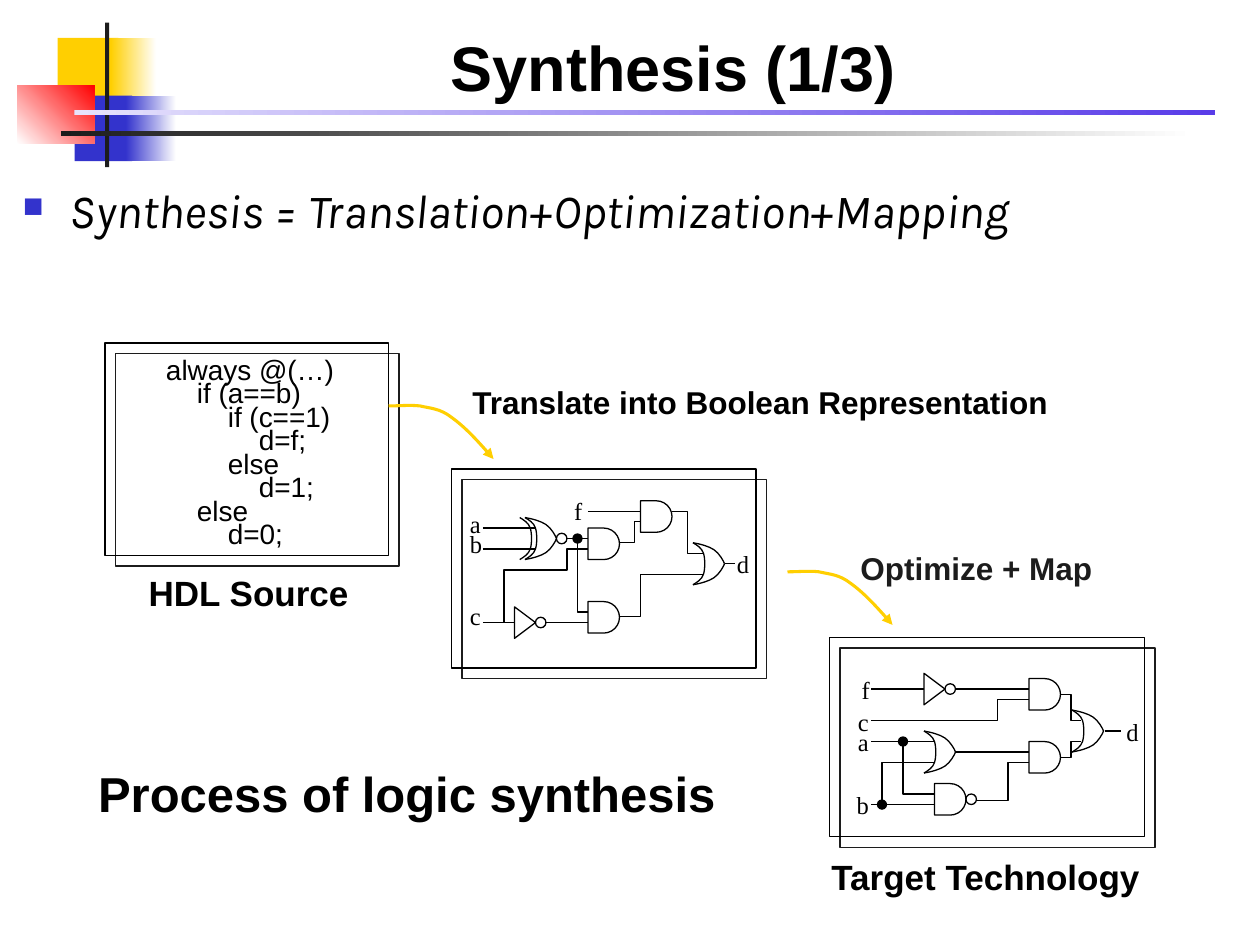
"""Build the slide on the three steps of logic synthesis."""
import collections

import lxml.etree
import pptx
import pptx.dml.color
import pptx.enum.shapes
import pptx.enum.text
import pptx.oxml.ns
import pptx.util

Pt = pptx.util.Pt
RGB = pptx.dml.color.RGBColor.from_string
SHAPE = pptx.enum.shapes.MSO_SHAPE
STRAIGHT = pptx.enum.shapes.MSO_CONNECTOR.STRAIGHT
qn = pptx.oxml.ns.qn
add_xml = lxml.etree.SubElement

Theme = collections.namedtuple(
    "Theme", "ink dark white yellow blue red pale violet sans serif body "
             "title lead heading caption step code pin")
theme = Theme("000000", "1C1C1C", "FFFFFF", "FFCF01", "3333CC", "FF0000", "E7E3FC", "593CE8",
              "Arial", "Times New Roman", "Karla", 36, 27.2, 28, 20, 18, 16, 14)
CELL = 6

prs = pptx.Presentation()
prs.slide_width, prs.slide_height = Pt(720), Pt(540)
s = prs.slides.add_slide(prs.slide_layouts[6])


def stroke(sp, color=theme.ink, width=0.75):
    """Outline a shape without fill and return its empty effect list."""
    if hasattr(sp, "fill"):
        sp.fill.background()
    sp.line.color.rgb = RGB(color)
    sp.line.width = Pt(width)
    return add_xml(sp._element.spPr, qn("a:effectLst"))


def outline(points, curved=False):
    """Draw an open path; a curved one takes its points as cubic controls."""
    pts = [(Pt(x), Pt(y)) for x, y in points]
    builder = s.shapes.build_freeform(*pts[0])
    builder.add_line_segments(pts[1:], close=False)
    sp = builder.convert_to_shape()
    if curved:
        path = next(sp._element.iter(qn("a:path")))
        segments = path.findall(qn("a:lnTo"))
        for i in range(0, len(segments), 3):
            cubic = add_xml(path, qn("a:cubicBezTo"))
            for segment in segments[i:i + 3]:
                cubic.append(segment[0])
                path.remove(segment)
    return sp


decoration = [
    (33, 21.6, 34.6, 37.4, [theme.yellow], 0),
    (63.4, 21.6, 25.9, 37.4, [theme.yellow, theme.white], 0),
    (42.6, 54.7, 33, 37.4, [theme.blue], 0),
    (72, 54.7, 28.8, 37.4, [theme.blue, theme.white], 0),
    (10, 48.8, 44, 33.4, [theme.white, theme.red], 45),
    (60, 13, 2.4, 82.6, [theme.dark], 0),
    (34.8, 75, 648, 2.5, [theme.dark, theme.white], 0),
    (42.5, 63, 651.6, 2.8, [theme.pale, theme.violet], 0),
]
for x, y, w, h, colors, angle in decoration:
    sp = s.shapes.add_shape(SHAPE.RECTANGLE, Pt(x), Pt(y), Pt(w), Pt(h))
    sp.shadow.inherit = False
    sp.line.fill.background()
    if len(colors) == 1:
        sp.fill.solid()
        sp.fill.fore_color.rgb = RGB(colors[0])
    else:
        sp.fill.gradient()
        sp.fill.gradient_angle = angle
        for stop, color in zip(sp.fill.gradient_stops, colors):
            stop.color.rgb = RGB(color)

for x, y, w, h in [(60, 196, 162, 121.5), (258, 268, 174, 113.8), (474, 364.3, 180, 113.8)]:
    effects = stroke(s.shapes.add_shape(SHAPE.RECTANGLE, Pt(x), Pt(y), Pt(w), Pt(h)))
    shadow = add_xml(effects, qn("a:outerShdw"), blurRad="0", dist=str(Pt(8.5)),
                     dir="2700000", algn="ctr", rotWithShape="0")
    add_xml(shadow, qn("a:srgbClr"), val=theme.dark)

or_top = [(0, 0), (4.5, 0.8), (9, 2), (12, 4), (15, 6), (17.5, 10.5), (18, 12)]
or_bottom = [(x, 24 - y) for x, y in or_top]
or_back = [(0, 0), (2.4, 1.5), (5, 3), (6, 6), (7, 9), (7, 15), (6, 18), (5, 21), (2.4, 22.5), (0, 24)]
xnor_back = [(x - 3, y) for x, y in or_back]
or_gate = [or_top, or_bottom, or_back]
xnor_gate = or_gate + [xnor_back]

Circuit = collections.namedtuple("Circuit", "x y ands inverter bubble curved wires dotted")
circuits = [
    Circuit(258, 265.75, [(13, 6), (13, 13), (18, 3.4)], (7, 15), (10, 6.5),
            [(7, 5, xnor_gate), (23, 7.4, or_gate)],
            [[(3, 6), (8, 6)], [(3, 8), (8, 8)], [(11, 7), (13, 7)], [(9, 15), (13, 15)],
             [(3, 15), (6, 15)], [(13, 4.4), (18, 4.4)], [(26, 9.4), (27, 9.4)],
             [(5, 15), (5, 10), (11, 10), (11, 8), (13, 8)],
             [(16, 7.4), (17.4, 7.4), (17.4, 5.4), (18, 5.4)],
             [(21, 4.4), (22.5, 4.4), (22.5, 8.4), (24, 8.4)],
             [(16, 14.4), (18, 14.4), (18, 10.4), (24, 10.4)]],
            [[(12, 7), (12, 14), (13, 14)]]),
    Circuit(474, 363.75, [(19, 4), (10, 14), (19, 10)], (10, 5), (13, 15),
            [(9, 9, or_gate), (23.1, 7, or_gate)],
            [[(12, 5), (19, 5)], [(4, 5), (9, 5)], [(4, 10), (10, 10)], [(4, 16), (10, 16)],
             [(12, 11), (19, 11)], [(26.2, 9), (27.8, 9)],
             [(4, 8), (16, 8), (16, 6), (19, 6)],
             [(14, 15.6), (17, 15.6), (17, 12), (19, 12)],
             [(22, 5.5), (23, 5.5), (23, 8), (24, 8)],
             [(22, 11.5), (23, 11.5), (23, 10), (24, 10)]],
            [[(7, 10), (7, 15), (10, 15)], [(5, 16), (5, 12), (10, 12)]]),
]
for c in circuits:
    ix, iy = c.inverter
    presets = [(SHAPE.FLOWCHART_EXTRACT, ix - 1.5, iy - 1, 3, 2, 90),
               (SHAPE.OVAL, ix + 1, iy - 0.5, 1, 1, 0),
               (SHAPE.OVAL, *c.bubble, 1, 1, 0)]
    presets += [(SHAPE.FLOWCHART_DELAY, x, y, 3, 3, 0) for x, y in c.ands]
    gates = []
    for kind, x, y, w, h, turn in presets:
        sp = s.shapes.add_shape(kind, Pt(c.x + CELL * x), Pt(c.y + CELL * y), Pt(CELL * w), Pt(CELL * h))
        sp.rotation = turn
        stroke(sp)
        gates.append(sp)
    s.shapes.add_group_shape(gates[:2])
    for x, y, curves in c.curved:
        parts = [outline([(c.x + CELL * x + dx, c.y + CELL * y + dy) for dx, dy in curve], curved=True)
                 for curve in curves]
        for sp in parts:
            stroke(sp)
        s.shapes.add_group_shape(parts)
    for wire in c.wires + c.dotted:
        points = [(c.x + CELL * x, c.y + CELL * y) for x, y in wire]
        if len(points) == 2:
            sp = s.shapes.add_connector(STRAIGHT, *[Pt(v) for point in points for v in point])
        else:
            sp = outline(points)
        stroke(sp)
        if wire in c.dotted:
            add_xml(sp._element.spPr.find(qn("a:ln")), qn("a:headEnd"), type="oval")

arrow = [(0, 0), (6.5, 0), (12, -0.7), (18, 0), (24, 1.4), (29.5, 1.4), (36, 6.5), (43, 11.5), (52, 21), (60, 30.3)]
for x, y in [(222, 232), (450, 326.8)]:
    sp = outline([(x + dx, y + dy) for dx, dy in arrow], curved=True)
    stroke(sp, theme.yellow, 1.75)
    add_xml(sp._element.spPr.find(qn("a:ln")), qn("a:tailEnd"), type="triangle")

code = """always @(…)
    if (a==b)
        if (c==1)
            d=f;
        else
            d=1;
    else
        d=0;"""
texts = [
    (code, 87.8, 203, 110.2, 115.2, theme.code, theme.sans, theme.ink),
    ("Translate into Boolean Representation", 262.8, 215.3, 344.2, 28.8, theme.step, theme.sans, theme.ink),
    ("Optimize + Map", 484.6, 310.3, 146.9, 28.8, theme.step, theme.sans, theme.dark),
    ("HDL Source", 77.8, 323.3, 128.9, 31.7, theme.caption, theme.sans, theme.ink),
    ("Target Technology", 468, 485.3, 193.7, 31.7, theme.caption, theme.sans, theme.ink),
    ("Process of logic synthesis", 49, 432.7, 367.2, 41, theme.heading, theme.sans, theme.ink),
    ("Synthesis (1/3)", 250.6, 8, 419.8, 59.8, theme.title, theme.sans, theme.ink),
    ("Synthesis = Translation+Optimization+Mapping", 5.8, 103.7, 714.2, 41.8, theme.lead, theme.body, theme.ink),
]
pins = [("a", 261.4, 287.3), ("b", 261.4, 298.8), ("c", 261.4, 339.8), ("f", 321, 280),
        ("d", 414, 310.3), ("f", 485.3, 382.3), ("c", 483.1, 400.3), ("a", 483.1, 411.8),
        ("b", 482.4, 447.8), ("d", 636.5, 406)]
pin_width = {"a": 20.4, "b": 21.4, "c": 20.4, "d": 21.4, "f": 19}
texts += [(name, x, y, pin_width[name], 24.4, theme.pin, theme.serif, theme.ink) for name, x, y in pins]

for text, x, y, w, h, size, font, color in texts:
    tf = s.shapes.add_textbox(Pt(x), Pt(y), Pt(w), Pt(h)).text_frame
    tf.text = text
    tf.word_wrap = size in (theme.title, theme.lead)
    if not tf.word_wrap:
        tf.auto_size = pptx.enum.text.MSO_AUTO_SIZE.SHAPE_TO_FIT_TEXT
    if size == theme.title:
        tf.vertical_anchor = pptx.enum.text.MSO_ANCHOR.MIDDLE
    for p in tf.paragraphs:
        if size == theme.lead:
            pPr = p._p.get_or_add_pPr()
            pPr.set("marL", str(Pt(27)))
            pPr.set("indent", str(-Pt(27)))
            add_xml(add_xml(pPr, qn("a:buClr")), qn("a:srgbClr"), val=theme.blue)
            add_xml(pPr, qn("a:buSzPct"), val="60000")
            add_xml(pPr, qn("a:buChar"), char="■")
        p.line_spacing = {theme.code: 0.7, theme.lead: 0.9}.get(size)
        for r in p.runs:
            r.font.size = Pt(size)
            r.font.name = font
            r.font.color.rgb = RGB(color)
            r.font.bold = font == theme.sans and size != theme.code
            r.font.italic = font == theme.body

prs.save("out.pptx")
